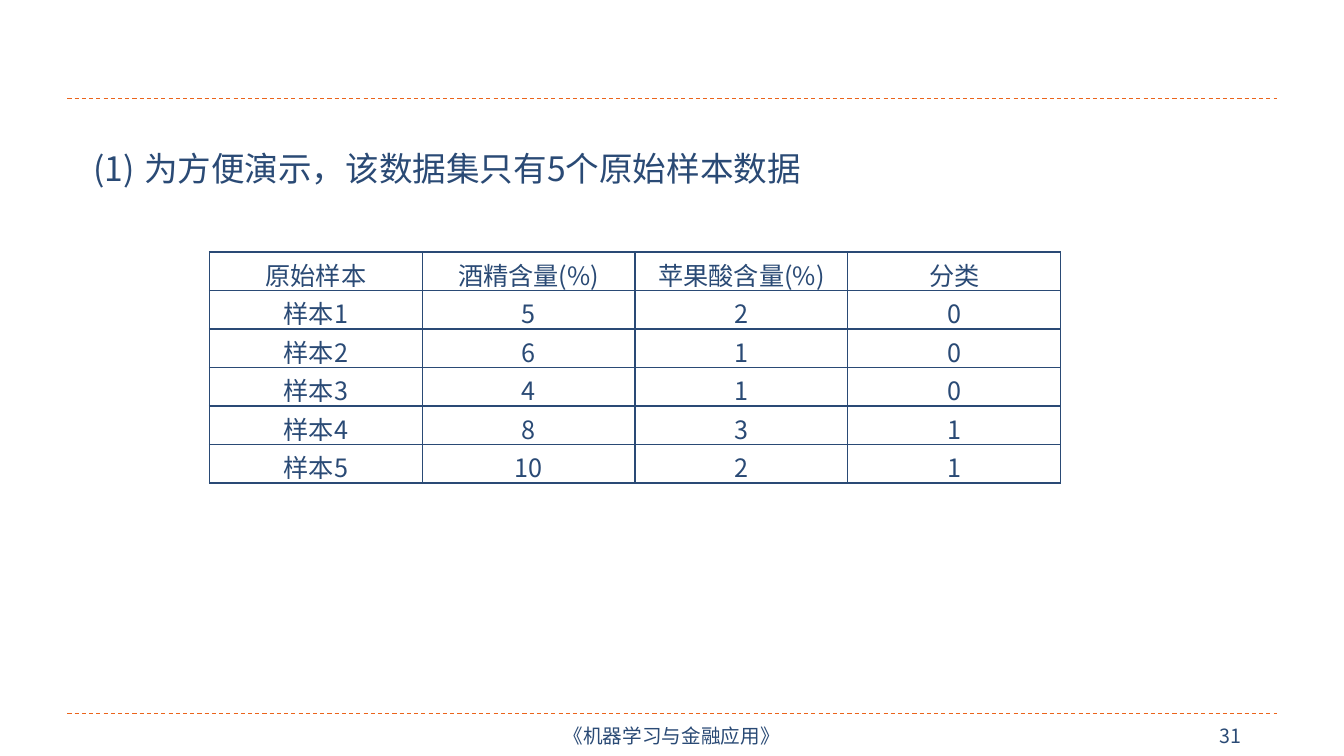
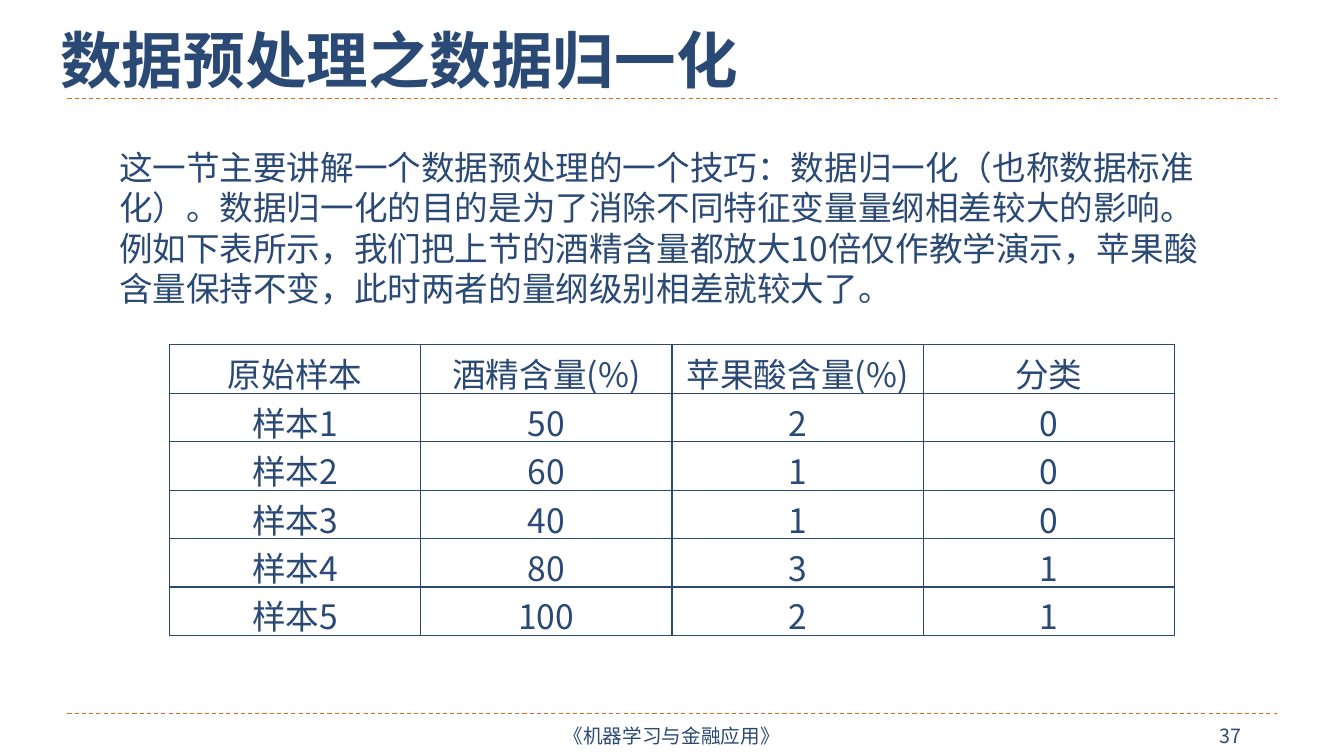
"""Build two slides on sample data and its scaling."""
from dataclasses import dataclass

from pptx import Presentation
from pptx.dml.color import RGBColor
from pptx.enum.dml import MSO_LINE
from pptx.enum.shapes import MSO_CONNECTOR
from pptx.enum.text import MSO_ANCHOR, PP_ALIGN
from pptx.oxml.ns import qn
from pptx.slide import Slide
from pptx.util import Cm, Pt
from lxml.etree import SubElement

FONT = "Noto Sans CJK SC"
INK = "2A4A75"
RULE = "EB641B"
HEAD = ("原始样本", "酒精含量(%)", "苹果酸含量(%)", "分类")
ACIDS = (2, 1, 1, 3, 2)
KINDS = (0, 0, 0, 1, 1)
RULES = (2.49, 17.98)


@dataclass
class Label:
    text: str
    left: float
    top: float
    width: float
    height: float
    size: int = 24
    bold: bool = False
    wrap: bool = True
    inset: bool = True
    number: bool = False
    align: PP_ALIGN = PP_ALIGN.LEFT
    anchor: MSO_ANCHOR = MSO_ANCHOR.TOP


@dataclass
class Grid:
    left: float
    top: float
    width: float
    row: float
    size: int
    levels: tuple[int, ...]


@dataclass
class Page:
    number: int
    labels: list[Label]
    grid: Grid


PAGES = [
    Page(31, [Label("为方便演示，该数据集只有5个原始样本数据",
                    2.11, 3.61, 27.79, 2.31, number=True)],
         Grid(5.28, 6.35, 21.45, 0.97, 18, (5, 6, 4, 8, 10))),
    Page(37, [Label("数据预处理之数据归一化", 1.27, 0.43, 17.75, 2.13,
                    size=44, bold=True, wrap=False),
              Label("这一节主要讲解一个数据预处理的一个技巧：数据归一化（也称数据标准化）。"
                    "数据归一化的目的是为了消除不同特征变量量纲相差较大的影响。"
                    "例如下表所示，我们把上节的酒精含量都放大10倍仅作教学演示，"
                    "苹果酸含量保持不变，此时两者的量纲级别相差就较大了。",
                    2.75, 3.58, 27.79, 4.37)],
         Grid(4.27, 8.69, 25.33, 1.22, 24, (50, 60, 40, 80, 100))),
]


def color(code: str) -> RGBColor:
    """Turn a hex string into a colour."""
    return RGBColor.from_string(code)


def write(frame, text: str, size: int, align: PP_ALIGN, bold: bool = False):
    """Write one styled paragraph and return it."""
    para = frame.paragraphs[0]
    para.alignment = align
    run = para.add_run()
    run.text = text
    style = {"name": FONT, "size": Pt(size), "bold": bold}
    for key, value in style.items():
        setattr(run.font, key, value)
    run.font.color.rgb = color(INK)
    SubElement(run.font._element, qn("a:ea"), typeface=FONT)
    return para


def add_label(slide: Slide, label: Label) -> None:
    """Draw a text box."""
    box = slide.shapes.add_textbox(
        Cm(label.left), Cm(label.top), Cm(label.width), Cm(label.height))
    frame = box.text_frame
    style = {"word_wrap": label.wrap, "vertical_anchor": label.anchor}
    if not label.inset:
        sides = ("left", "top", "right", "bottom")
        style |= {f"margin_{side}": 0 for side in sides}
    for key, value in style.items():
        setattr(frame, key, value)
    para = write(frame, label.text, label.size, label.align, label.bold)
    if label.number:
        props = para._p.get_or_add_pPr()
        props.set("marL", str(Cm(1.27)))
        props.set("indent", str(-Cm(1.27)))
        SubElement(props, qn("a:buFont"), typeface=FONT)
        SubElement(props, qn("a:buAutoNum"), type="arabicParenBoth")


def add_rule(slide: Slide, top: float) -> None:
    """Draw a dashed line across the slide."""
    rule = slide.shapes.add_connector(
        MSO_CONNECTOR.STRAIGHT, Cm(1.7), Cm(top), Cm(32.18), Cm(top))
    rule._element.remove(rule._element.find(qn("p:style")))
    style = {"width": Pt(0.75), "dash_style": MSO_LINE.DASH}
    for key, value in style.items():
        setattr(rule.line, key, value)
    rule.line.color.rgb = color(RULE)
    SubElement(rule._element.spPr, qn("a:effectLst"))


def add_edges(cell) -> None:
    """Outline a table cell."""
    props = cell._tc.get_or_add_tcPr()
    for place, side in enumerate(("lnL", "lnR", "lnT", "lnB")):
        edge = SubElement(props, qn(f"a:{side}"), w=str(Pt(1)))
        fill = SubElement(edge, qn("a:solidFill"))
        SubElement(fill, qn("a:srgbClr"), val=INK)
        props.insert(place, edge)


def add_grid(slide: Slide, grid: Grid) -> None:
    """Draw the table of samples."""
    names = [f"样本{i}" for i in range(1, len(grid.levels) + 1)]
    rows = [HEAD, *zip(names, grid.levels, ACIDS, KINDS)]
    table = slide.shapes.add_table(
        len(rows), len(HEAD), Cm(grid.left), Cm(grid.top),
        Cm(grid.width), Cm(grid.row * len(rows))).table
    table.first_row = table.horz_banding = False
    style = {"margin_left": 0, "margin_right": 0, "margin_top": Cm(0.1),
             "margin_bottom": Cm(0.1), "vertical_anchor": MSO_ANCHOR.MIDDLE}
    for r, row in enumerate(rows):
        for c, value in enumerate(row):
            cell = table.cell(r, c)
            for key, setting in style.items():
                setattr(cell, key, setting)
            cell.fill.background()
            add_edges(cell)
            write(cell.text_frame, str(value), grid.size, PP_ALIGN.CENTER)


def add_page(deck, page: Page) -> None:
    """Draw one slide with its rules, footer and content."""
    slide = deck.slides.add_slide(deck.slide_layouts[6])
    for top in RULES:
        add_rule(slide, top)
    foot = {"size": 14, "anchor": MSO_ANCHOR.MIDDLE}
    labels = [
        Label("《机器学习与金融应用》", 11.43, 18.03, 11, 1.02,
              inset=False, align=PP_ALIGN.CENTER, **foot),
        Label(str(page.number), 30.48, 18.11, 1.2, 0.86, wrap=False, **foot),
    ]
    for label in labels + page.labels:
        add_label(slide, label)
    add_grid(slide, page.grid)


def main() -> None:
    """Build and save the deck."""
    deck = Presentation()
    deck.slide_width, deck.slide_height = Cm(33.87), Cm(19.05)
    for page in PAGES:
        add_page(deck, page)
    deck.save("out.pptx")


if __name__ == "__main__":
    main()
